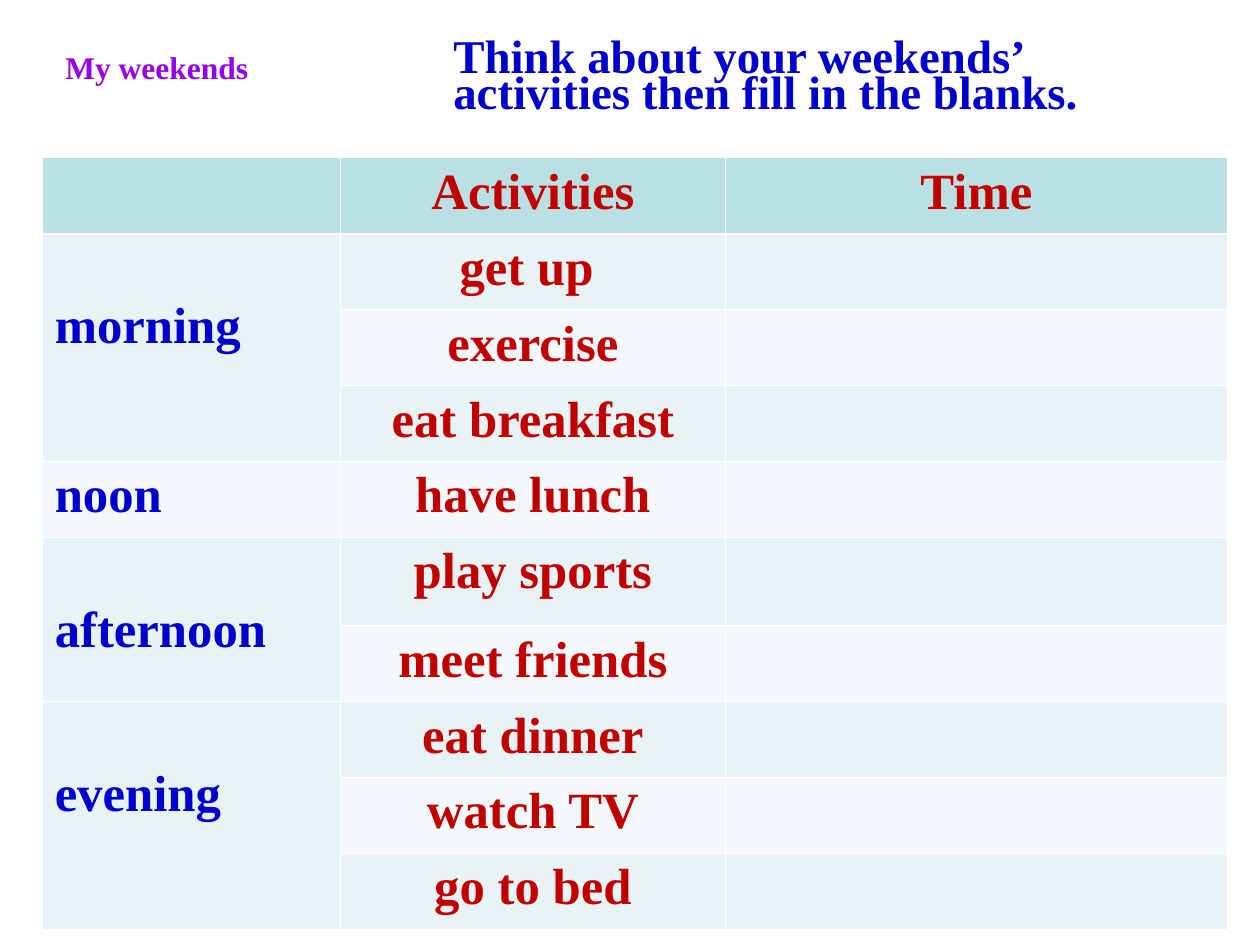
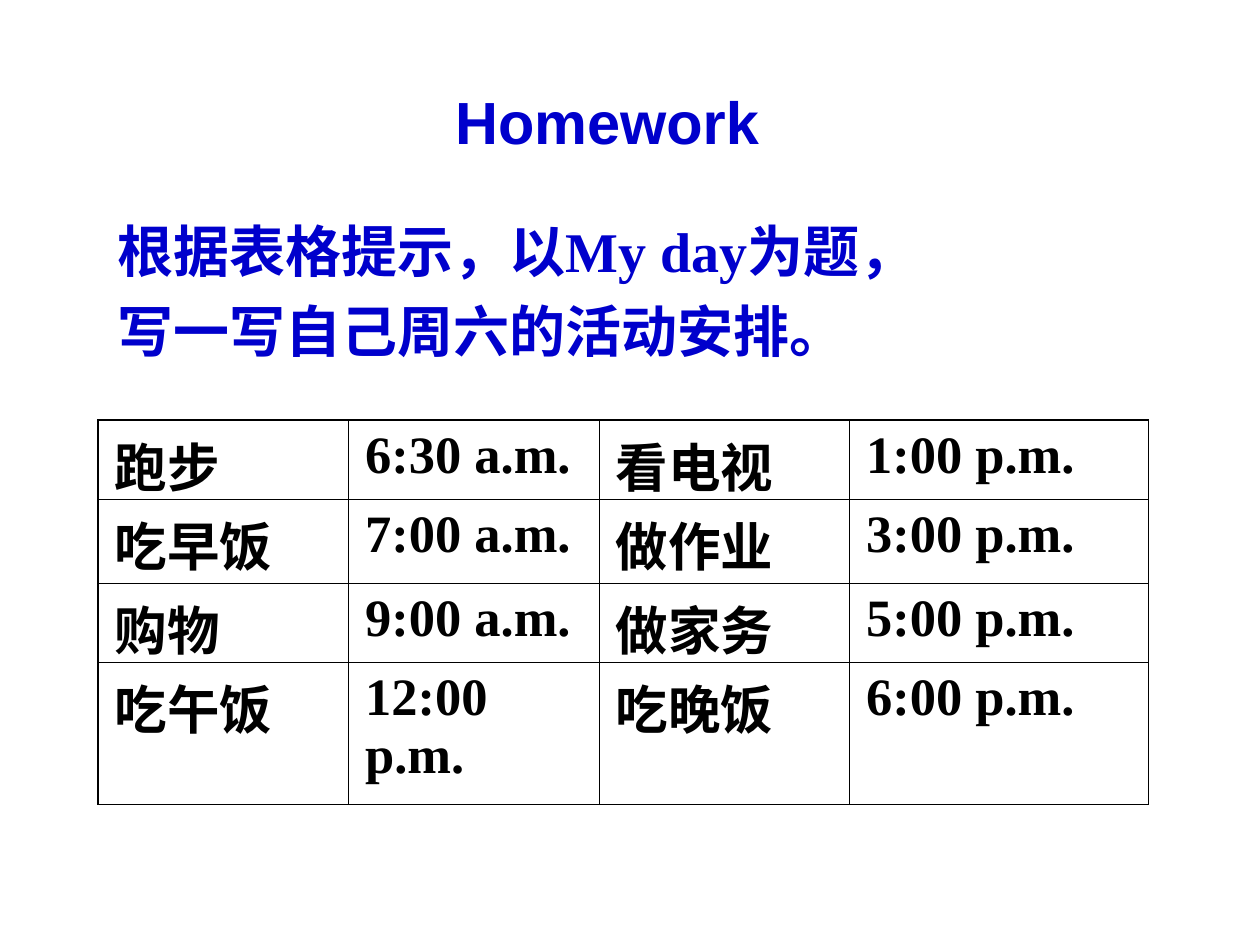
from dataclasses import dataclass

from lxml.etree import SubElement
from pptx import Presentation
from pptx.dml.color import RGBColor
from pptx.enum.text import MSO_AUTO_SIZE, PP_ALIGN
from pptx.oxml import parse_xml
from pptx.oxml.ns import qn
from pptx.util import Cm, Pt

DRAWING_NS = "http://schemas.openxmlformats.org/drawingml/2006/main"


@dataclass(frozen=True)
class Theme:
    serif: str = "Times New Roman"
    sans: str = "Arial"
    blue: str = "0000CC"
    red: str = "C00000"
    black: str = "000000"
    white: str = "FFFFFF"
    header: str = "BBE0E3"
    bands: tuple = ("F3F9FA", "E7F3F4")
    label_fade: tuple = ("9400ED", "0000FF")
    label_outline: str = "EAEAEA"
    label_size: float = 18
    prompt_size: float = 26.8
    schedule_size: float = 29
    plan_size: float = 30
    task_size: float = 32
    title_size: float = 34
    hairline: float = 0.45


def set_all(target, values):
    for name, value in values.items():
        setattr(target, name, value)


def line_xml(tag, color, width):
    line = parse_xml(f'<a:{tag} xmlns:a="{DRAWING_NS}" w="{Pt(width)}"/>')
    fill = SubElement(line, qn("a:solidFill"))
    SubElement(fill, qn("a:srgbClr"), val=color)
    return line


class LessonDeck:
    def __init__(self, theme):
        self.theme = theme
        self.deck = Presentation()
        set_all(self.deck, {"slide_width": Cm(25.4), "slide_height": Cm(19.05)})
        self.slide = None

    def new_slide(self):
        self.slide = self.deck.slides.add_slide(self.deck.slide_layouts[6])

    def put_lines(self, frame, lines, size, color, font=None, **paragraph_format):
        for index, line in enumerate(lines):
            paragraph = frame.add_paragraph() if index else frame.paragraphs[0]
            set_all(paragraph, paragraph_format)
            run = paragraph.add_run()
            run.text = line
            set_all(run.font, {"name": font or self.theme.serif, "size": Pt(size), "bold": True})
            run.font.color.rgb = RGBColor.from_string(color)

    def text(self, place, lines, size, color=None, font=None, wrap=True, **paragraph_format):
        frame = self.slide.shapes.add_textbox(*map(Cm, place)).text_frame
        frame.word_wrap = wrap
        self.put_lines(frame, lines, size, color or self.theme.blue, font, **paragraph_format)
        return frame

    def fading_label(self, place, label):
        """Unwrapped label with gradient letters and a pale outline."""
        frame = self.text(place, [label], self.theme.label_size, wrap=False)
        run = frame.paragraphs[0].runs[0]
        fill = run.font.fill
        fill.gradient()
        fill.gradient_angle = 180
        for position, (stop, color) in enumerate(zip(fill.gradient_stops, self.theme.label_fade)):
            stop.position = position
            stop.color.rgb = RGBColor.from_string(color)
        run._r.get_or_add_rPr().insert(0, line_xml("ln", self.theme.label_outline, 1))

    def table(self, left, top, widths, heights):
        place = map(Cm, (left, top, sum(widths), sum(heights)))
        table = self.slide.shapes.add_table(len(heights), len(widths), *place).table
        set_all(table, {"first_row": False, "horz_banding": False})
        for column, width in zip(table.columns, widths):
            column.width = Cm(width)
        for row, height in zip(table.rows, heights):
            row.height = Cm(height)
        return table

    def rule(self, table, color, heavy, heavy_rows=(), heavy_columns=()):
        """Draw all cell borders; the numbered grid lines get the heavy width."""
        def width(line, heavy_lines):
            return heavy if line in heavy_lines else self.theme.hairline

        for r in range(len(table.rows)):
            for c in range(len(table.columns)):
                borders = {
                    "lnL": width(c, heavy_columns), "lnR": width(c + 1, heavy_columns),
                    "lnT": width(r, heavy_rows), "lnB": width(r + 1, heavy_rows),
                }
                properties = table.cell(r, c)._tc.get_or_add_tcPr()
                for index, (tag, points) in enumerate(borders.items()):
                    properties.insert(index, line_xml(tag, color, points))


def weekend_slide(deck):
    theme = deck.theme
    day = {
        "morning": ["get up ", "exercise", "eat breakfast"],
        "noon": ["have lunch"],
        "afternoon": ["play sports", "meet friends"],
        "evening": ["eat dinner", "watch TV", "go to bed"],
    }
    deck.new_slide()
    deck.text((8.89, 0.76, 15.44, 2.01),
              ["Think about your weekends’ activities then fill in the blanks."],
              theme.prompt_size, line_spacing=0.65)

    heights = [1.53] * 5 + [1.78] + [1.53] * 4
    schedule = deck.table(0.85, 3.18, (6.02, 7.75, 10.13), heights)
    for r, row in enumerate(schedule.rows):
        for cell in row.cells:
            cell.fill.solid()
            cell.fill.fore_color.rgb = RGBColor.from_string(theme.bands[r % 2] if r else theme.header)

    centred_red = {"size": theme.schedule_size, "color": theme.red, "alignment": PP_ALIGN.CENTER}
    for c, heading in enumerate(("Activities", "Time"), 1):
        deck.put_lines(schedule.cell(0, c).text_frame, [heading], **centred_red)
    r = 1
    for part, activities in day.items():
        part_cell = schedule.cell(r, 0)
        if len(activities) > 1:
            part_cell.merge(schedule.cell(r + len(activities) - 1, 0))
            part_cell.margin_top = Cm(1.3)
        deck.put_lines(part_cell.text_frame, [part], theme.schedule_size, theme.blue)
        for activity in activities:
            deck.put_lines(schedule.cell(r, 1).text_frame, [activity], **centred_red)
            r += 1
    deck.rule(schedule, theme.white, 1.47, heavy_rows=(1,))
    deck.fading_label((1.07, 0.84, 7.26, 1.27), "My weekends")


def homework_slide(deck):
    theme = deck.theme
    plan = [
        ("跑步", "6:30 a.m.", "看电视", "1:00 p.m."),
        ("吃早饭", "7:00 a.m.", "做作业", "3:00 p.m."),
        ("购物", "9:00 a.m.", "做家务", "5:00 p.m."),
        ("吃午饭", "12:00 p.m.", "吃晚饭", "6:00 p.m."),
    ]
    deck.new_slide()
    deck.text((2.11, 3.96, 18.9, 3.81),
              ["根据表格提示，以My day为题，", "写一写自己周六的活动安排。"],
              theme.task_size, line_spacing=1.2)
    title = deck.text((4.24, 1.6, 16.33, 1.7), ["Homework "], theme.title_size, font=theme.sans,
                      alignment=PP_ALIGN.CENTER, space_before=Pt(21.3))
    title.auto_size = MSO_AUTO_SIZE.SHAPE_TO_FIT_TEXT

    timetable = deck.table(1.98, 8.47, (5.05, 5.05, 5.05, 6.02), (1.6, 1.68, 1.6, 2.87))
    for r, entries in enumerate(plan):
        for c, entry in enumerate(entries):
            cell = timetable.cell(r, c)
            set_all(cell, {"margin_left": Cm(0.33), "margin_right": Cm(0.33)})
            cell.fill.background()
            deck.put_lines(cell.text_frame, [entry], theme.plan_size, theme.black, space_before=Pt(7.5))
    deck.rule(timetable, theme.black, 1.08, heavy_rows=(0, 4), heavy_columns=(0, 4))


def main():
    lesson = LessonDeck(Theme())
    weekend_slide(lesson)
    homework_slide(lesson)
    lesson.deck.save("out.pptx")


if __name__ == "__main__":
    main()
